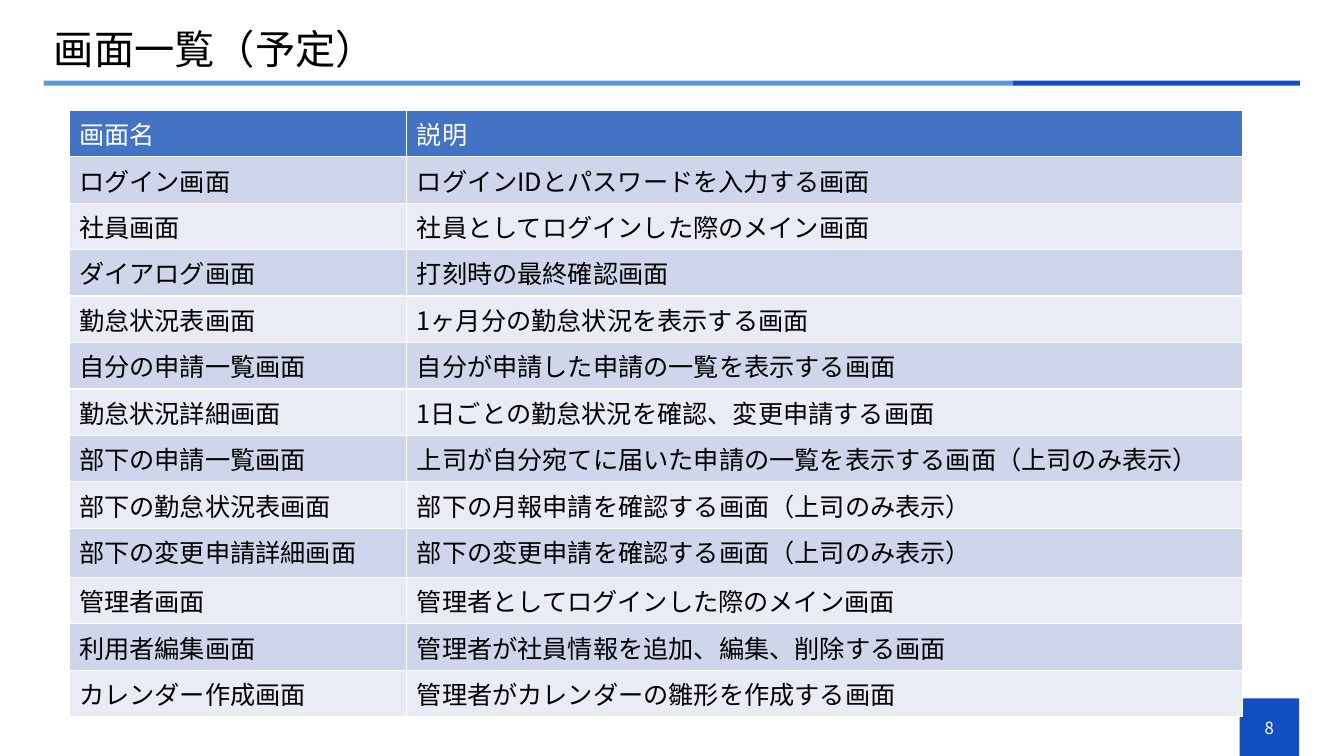
"""Build the slide that lists the planned screens of an attendance system."""
import lxml.etree
import pptx
import pptx.dml.color
import pptx.enum.shapes
import pptx.enum.text
import pptx.oxml.ns
import pptx.util
from pptx.util import Cm

TITLE = "画面一覧（予定）"
PAGE_NUMBER = "8"
HEADER = ("画面名", "説明")
SCREENS = [
    ("ログイン画面", "ログインIDとパスワードを入力する画面"),
    ("社員画面", "社員としてログインした際のメイン画面"),
    ("ダイアログ画面", "打刻時の最終確認画面"),
    ("勤怠状況表画面", "1ヶ月分の勤怠状況を表示する画面"),
    ("自分の申請一覧画面", "自分が申請した申請の一覧を表示する画面"),
    ("勤怠状況詳細画面", "1日ごとの勤怠状況を確認、変更申請する画面"),
    ("部下の申請一覧画面", "上司が自分宛てに届いた申請の一覧を表示する画面（上司のみ表示）"),
    ("部下の勤怠状況表画面", "部下の月報申請を確認する画面（上司のみ表示）"),
    ("部下の変更申請詳細画面", "部下の変更申請を確認する画面（上司のみ表示）"),
    ("管理者画面", "管理者としてログインした際のメイン画面"),
    ("利用者編集画面", "管理者が社員情報を追加、編集、削除する画面"),
    ("カレンダー作成画面", "管理者がカレンダーの雛形を作成する画面"),
]
FONT = "Noto Sans CJK JP"
BLACK, WHITE = "000000", "FFFFFF"
DARK_BLUE, LIGHT_BLUE, HEADER_BLUE = "134EC1", "5B9BD5", "4472C4"
BANDS = ("CFD5EA", "E9EBF5")
COLUMN_WIDTHS = (8.51, 21.06)
ROW_HEIGHT, TALL_ROW_HEIGHT, TALL_ROW = 1.17, 1.24, 9
BARS = [
    (31.24, 17.6, 1.5, 1.45, DARK_BLUE),
    (1.1, 2.03, 24.42, 0.13, LIGHT_BLUE),
    (25.52, 2.03, 7.24, 0.13, DARK_BLUE),
]


def color(value):
    return pptx.dml.color.RGBColor.from_string(value)


def write(frame, text, size, text_color, align=pptx.enum.text.PP_ALIGN.LEFT):
    frame.text = text
    para = frame.paragraphs[0]
    para.alignment = align
    para.font.size = pptx.util.Pt(size)
    para.font.bold = False
    para.font.color.rgb = color(text_color)
    para.font.name = FONT
    defaults = para._p.pPr.find(pptx.oxml.ns.qn("a:defRPr"))
    lxml.etree.SubElement(defaults, pptx.oxml.ns.qn("a:ea"), typeface=FONT)
    return para


def add_bars(page):
    for left, top, width, height, fill in BARS:
        bar = page.shapes.add_shape(
            pptx.enum.shapes.MSO_SHAPE.RECTANGLE,
            Cm(left), Cm(top), Cm(width), Cm(height))
        bar.shadow.inherit = False
        bar.fill.solid()
        bar.fill.fore_color.rgb = color(fill)
        bar.line.fill.background()


def add_title(page):
    title = page.shapes.title
    title.left, title.top, title.width, title.height = Cm(1.1), Cm(0.6), Cm(31.65), Cm(1.4)
    frame = title.text_frame
    frame.auto_size = pptx.enum.text.MSO_AUTO_SIZE.NONE
    frame.vertical_anchor = pptx.enum.text.MSO_ANCHOR.MIDDLE
    write(frame, TITLE, 28.8, BLACK).line_spacing = 0.9


def add_page_number(page):
    box = page.shapes.add_textbox(Cm(31.24), Cm(17.84), Cm(1.5), Cm(1.01))
    frame = box.text_frame
    frame.word_wrap = True
    frame.vertical_anchor = pptx.enum.text.MSO_ANCHOR.MIDDLE
    write(frame, PAGE_NUMBER, 12, WHITE, pptx.enum.text.PP_ALIGN.CENTER)


def add_screen_table(page):
    rows = [HEADER] + SCREENS
    height = ROW_HEIGHT * (len(rows) - 1) + TALL_ROW_HEIGHT
    table = page.shapes.add_table(
        len(rows), len(HEADER), Cm(1.74), Cm(2.78),
        Cm(sum(COLUMN_WIDTHS)), Cm(height)).table
    for column, width in zip(table.columns, COLUMN_WIDTHS):
        column.width = Cm(width)
    for r, texts in enumerate(rows):
        table.rows[r].height = Cm(TALL_ROW_HEIGHT if r == TALL_ROW else ROW_HEIGHT)
        fill = BANDS[(r - 1) % 2] if r else HEADER_BLUE
        for c, text in enumerate(texts):
            cell = table.cell(r, c)
            cell.fill.solid()
            cell.fill.fore_color.rgb = color(fill)
            write(cell.text_frame, text, 18, BLACK if r else WHITE)


def main():
    deck = pptx.Presentation()
    deck.slide_width, deck.slide_height = Cm(33.87), Cm(19.05)
    page = deck.slides.add_slide(deck.slide_layouts[5])
    add_bars(page)
    add_title(page)
    add_page_number(page)
    add_screen_table(page)
    deck.save("out.pptx")


if __name__ == "__main__":
    main()
